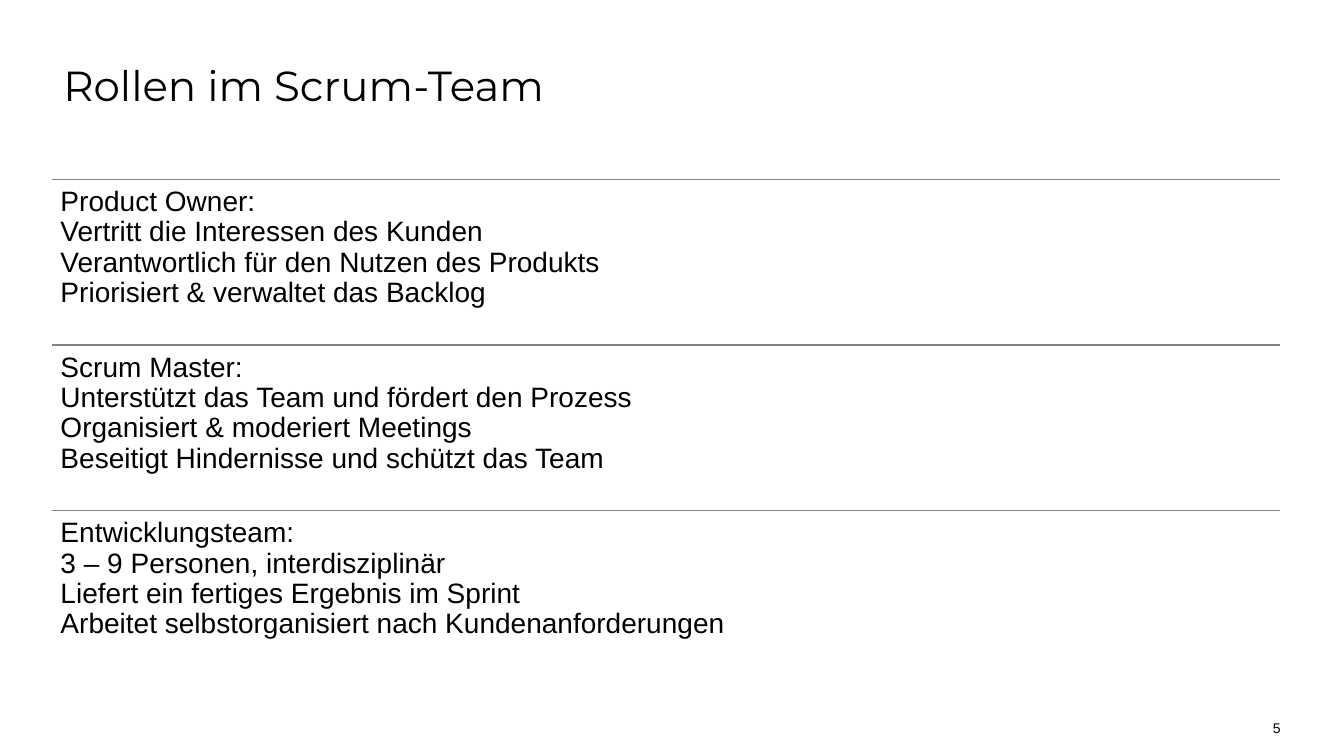
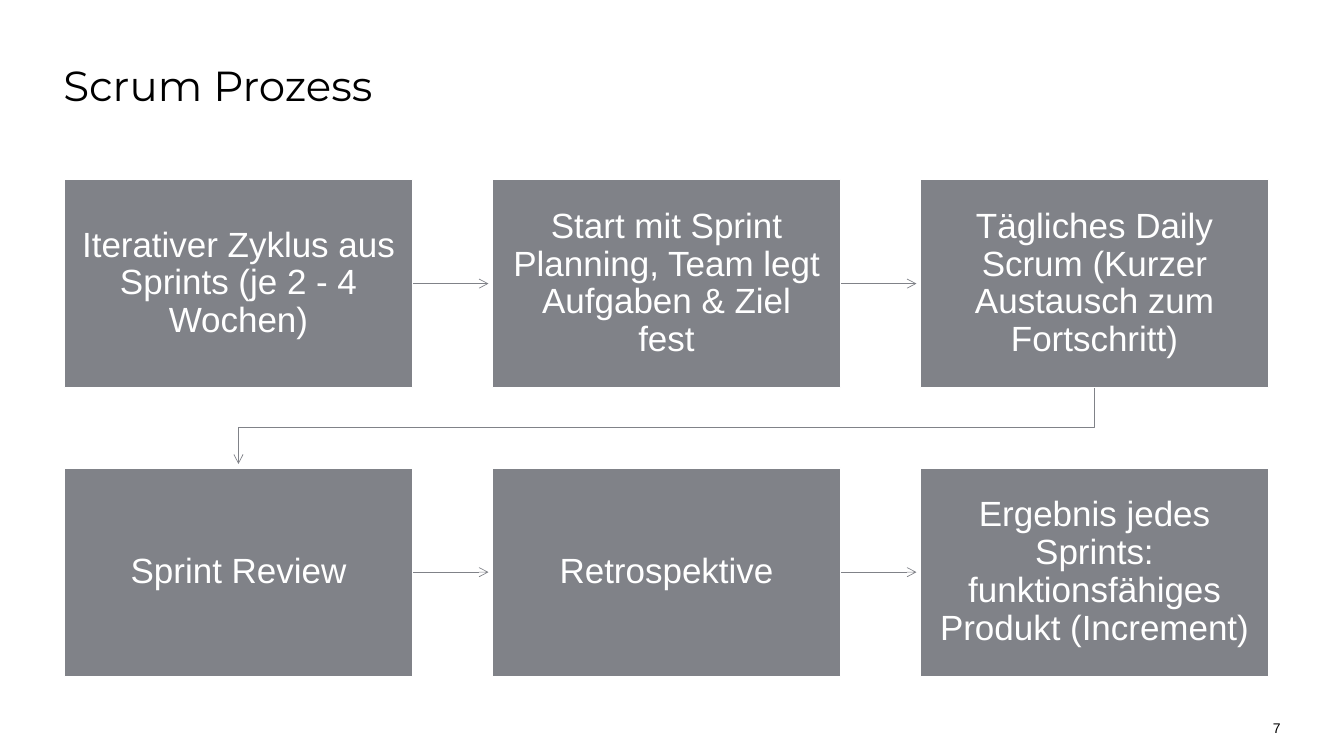
from dataclasses import dataclass

from lxml import etree
from pptx import Presentation
from pptx import util as u
from pptx.dml.color import RGBColor
from pptx.enum import shapes, text
from pptx.oxml import ns


@dataclass(frozen=True)
class Theme:
    ink: RGBColor = RGBColor.from_string("000000")
    paper: RGBColor = RGBColor.from_string("FFFFFF")
    grey: RGBColor = RGBColor.from_string("808288")
    heading: str = "Montserrat"
    body: str = "Arial"
    title_size: int = 30
    list_size: int = 20
    box_size: int = 25
    number_size: int = 10
    rule: float = 1
    arrow: float = 0.5


T = Theme()
SIZE = (13.33, 7.5)
TITLE_BOX = (0.53, 0.63, 12.17, 1.08)
NUMBER_BOX = (12.05, 6.95, 0.75, 0.4)
ROLES_BOX = (0.52, 1.78, 12.18, 4.93)
PROCESS_BOX = (0.64, 1.78, 11.94, 4.93)

ROLES = [
    ["Product Owner:", "Vertritt die Interessen des Kunden",
     "Verantwortlich für den Nutzen des Produkts", "Priorisiert & verwaltet das Backlog"],
    ["Scrum Master:", "Unterstützt das Team und fördert den Prozess",
     "Organisiert & moderiert Meetings", "Beseitigt Hindernisse und schützt das Team"],
    ["Entwicklungsteam:", "3 – 9 Personen, interdisziplinär",
     "Liefert ein fertiges Ergebnis im Sprint",
     "Arbeitet selbstorganisiert nach Kundenanforderungen"],
]
STEPS = [
    ["Iterativer Zyklus aus Sprints (je 2 - 4 Wochen)",
     "Start mit Sprint Planning, Team legt Aufgaben & Ziel fest",
     "Tägliches Daily Scrum (Kurzer Austausch zum Fortschritt)"],
    ["Sprint Review", "Retrospektive",
     "Ergebnis jedes Sprints: funktionsfähiges Produkt (Increment)"],
]


def inches(values):
    return [u.Inches(v) for v in values]


def set_all(target, values):
    for name, value in values.items():
        setattr(target, name, value)


def write(sp, lines, size, color=T.ink, font=T.body, align=text.PP_ALIGN.LEFT,
          anchor=text.MSO_ANCHOR.TOP, spacing=0.9, inset=(0.1, 0.05)):
    """Fill a shape with one paragraph per line."""
    tf = sp.text_frame
    x, y = inches(inset)
    set_all(tf, dict(word_wrap=True, vertical_anchor=anchor, margin_left=x,
                     margin_right=x, margin_top=y, margin_bottom=y))
    for i, line in enumerate(lines):
        p = tf.add_paragraph() if i else tf.paragraphs[0]
        set_all(p, dict(alignment=align, line_spacing=spacing, space_after=u.Pt(0)))
        r = p.add_run()
        r.text = line
        set_all(r.font, dict(name=font, size=u.Pt(size)))
        r.font.color.rgb = color


def style_line(sp, width, arrow=False):
    sp.line.color.rgb = T.grey
    sp.line.width = u.Pt(width)
    if arrow:
        ln = sp.element.spPr.find(ns.qn("a:ln"))
        etree.SubElement(ln, ns.qn("a:tailEnd"), type="arrow")


def add_line(s, start, end, width, arrow=False):
    sp = s.shapes.add_connector(shapes.MSO_CONNECTOR.STRAIGHT, *inches(start + end))
    style_line(sp, width, arrow)
    etree.SubElement(sp.element.spPr, ns.qn("a:effectLst"))


def add_bent_arrow(s, points):
    first, *rest = [inches(point) for point in points]
    builder = s.shapes.build_freeform(*first)
    builder.add_line_segments(rest, close=False)
    sp = builder.convert_to_shape()
    sp.fill.background()
    style_line(sp, T.arrow, arrow=True)
    sp.shadow.inherit = False


def add_page(prs, title, number):
    """Blank slide with the shared title and slide number."""
    s = prs.slides.add_slide(prs.slide_layouts[6])
    s.background.fill.solid()
    s.background.fill.fore_color.rgb = T.paper
    write(s.shapes.add_textbox(*inches(TITLE_BOX)), [title], T.title_size,
          font=T.heading, spacing=0.83)
    write(s.shapes.add_textbox(*inches(NUMBER_BOX)), [str(number)], T.number_size,
          align=text.PP_ALIGN.RIGHT, anchor=text.MSO_ANCHOR.BOTTOM, spacing=1.0)
    return s


def add_ruled_list(s, box, groups):
    """Equal rows, each with a rule along its top."""
    left, top, width, height = box
    row = height / len(groups)
    for i, lines in enumerate(groups):
        y = top + i * row
        add_line(s, (left, y), (left + width, y), T.rule)
        write(s.shapes.add_textbox(*inches((left, y, width, row))), lines,
              T.list_size, inset=(0.08, 0.08))


def add_step(s, box, label):
    sp = s.shapes.add_shape(shapes.MSO_SHAPE.RECTANGLE, *inches(box))
    sp.shadow.inherit = False
    sp.fill.solid()
    sp.fill.fore_color.rgb = T.grey
    sp.line.color.rgb = T.paper
    sp.line.width = u.Pt(T.rule)
    write(sp, [label], T.box_size, color=T.paper, align=text.PP_ALIGN.CENTER,
          anchor=text.MSO_ANCHOR.MIDDLE, inset=(0.17, 0.18))


def add_process(s, box, rows, gap=0.795, tip=0.04):
    """Grid of steps, read row by row and joined by arrows."""
    left, top, width, height = box
    cols = len(rows[0])
    w = (width - (cols - 1) * gap) / cols
    h = (height - (len(rows) - 1) * gap) / len(rows)
    for j, row in enumerate(rows):
        y = top + j * (h + gap)
        for i, label in enumerate(row):
            x = left + i * (w + gap)
            if i < cols - 1:
                add_line(s, (x + w, y + h / 2), (x + w + gap - tip, y + h / 2),
                         T.arrow, arrow=True)
            add_step(s, (x, y, w, h), label)
        # Turn from the end of this row to the start of the next
        if j < len(rows) - 1:
            start, end = left + width - w / 2, left + w / 2
            middle = y + h + gap / 2
            add_bent_arrow(s, [(start, y + h), (start, middle), (end, middle),
                               (end, y + h + gap - tip)])


def main():
    prs = Presentation()
    prs.slide_width, prs.slide_height = inches(SIZE)
    add_ruled_list(add_page(prs, "Rollen im Scrum-Team", 5), ROLES_BOX, ROLES)
    add_process(add_page(prs, "Scrum Prozess", 7), PROCESS_BOX, STEPS)
    prs.save("out.pptx")


if __name__ == "__main__":
    main()
